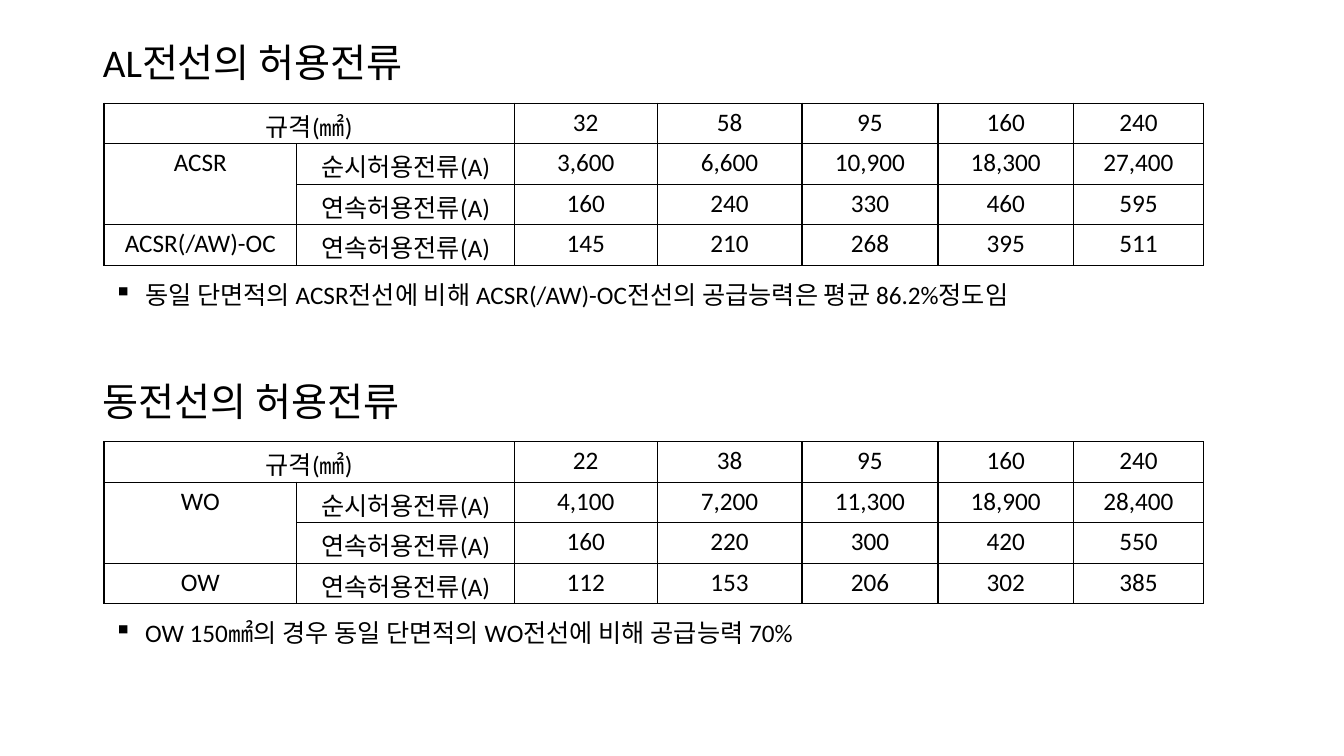
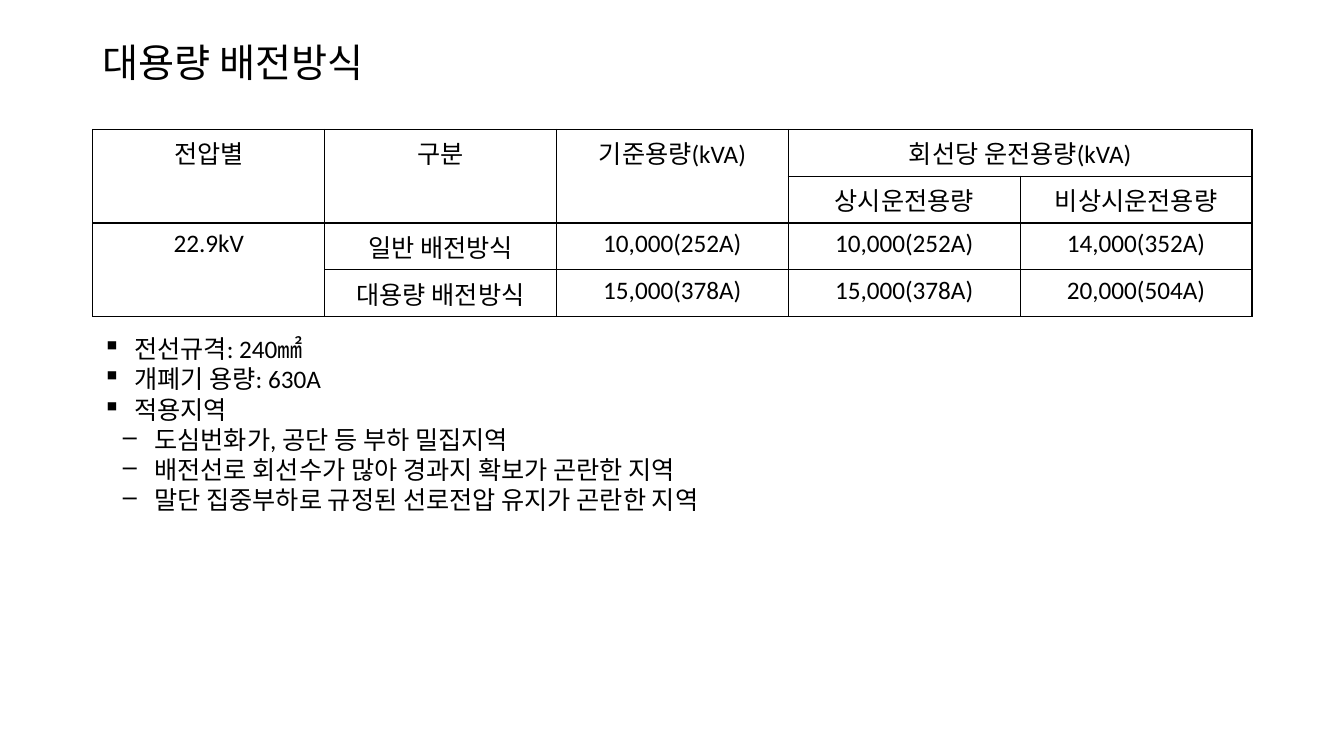
from lxml import etree
from pptx import Presentation
from pptx.dml.color import RGBColor
from pptx.enum.text import MSO_ANCHOR, MSO_AUTO_SIZE, PP_ALIGN
from pptx.oxml.ns import qn
from pptx.util import Cm, Pt

# Shared style
FONT = "Calibri"
BLACK = "000000"
TITLE_SIZE = 28
BODY_SIZE = 18
BORDER_WIDTH = Pt(1)

# Shared layout, in centimetres
LEFT = 2.34
TITLE_TOP = 0.91
TITLE_HEIGHT = 1.45
CONTENT_WIDTH = 29.21
CURRENT_LEFT = 2.62
CURRENT_COLUMNS = [4.86, 5.48, 3.6, 3.65, 3.43, 3.41, 3.28]
BLOCK_STEP = 8.53

# Content of the allowable current blocks
INSTANT = "순시허용전류(A)"
CONTINUOUS = "연속허용전류(A)"
SIZE_LABEL = "규격(㎟)"
CURRENT_MERGES = [(0, 0, 0, 1), (1, 0, 2, 0)]
ALUMINIUM_ROWS = [
    [SIZE_LABEL, None, "32", "58", "95", "160", "240"],
    ["ACSR", INSTANT, "3,600", "6,600", "10,900", "18,300", "27,400"],
    [None, CONTINUOUS, "160", "240", "330", "460", "595"],
    ["ACSR(/AW)-OC", CONTINUOUS, "145", "210", "268", "395", "511"],
]
COPPER_ROWS = [
    [SIZE_LABEL, None, "22", "38", "95", "160", "240"],
    ["WO", INSTANT, "4,100", "7,200", "11,300", "18,900", "28,400"],
    [None, CONTINUOUS, "160", "220", "300", "420", "550"],
    ["OW", CONTINUOUS, "112", "153", "206", "302", "385"],
]
ALUMINIUM_NOTE = "동일 단면적의 ACSR전선에 비해 ACSR(/AW)-OC전선의 공급능력은 평균 86.2%정도임"
COPPER_NOTE = "OW 150㎟의 경우 동일 단면적의 WO전선에 비해 공급능력 70%"

# Content of the large-capacity slide
CAPACITY_ROWS = [
    ["전압별", "구분", "기준용량(kVA)", "회선당 운전용량(kVA)", None],
    [None, None, None, "상시운전용량", "비상시운전용량"],
    ["22.9kV", "일반 배전방식", "10,000(252A)", "10,000(252A)", "14,000(352A)"],
    [None, "대용량 배전방식", "15,000(378A)", "15,000(378A)", "20,000(504A)"],
]
CAPACITY_MERGES = [(0, 0, 1, 0), (0, 1, 1, 1), (0, 2, 1, 2), (0, 3, 0, 4), (2, 0, 3, 0)]
CAPACITY_NOTES = [
    (0, "전선규격: 240㎟"),
    (0, "개폐기 용량: 630A"),
    (0, "적용지역"),
    (1, "도심번화가, 공단 등 부하 밀집지역"),
    (1, "배전선로 회선수가 많아 경과지 확보가 곤란한 지역"),
    (1, "말단 집중부하로 규정된 선로전압 유지가 곤란한 지역"),
]

# Bullet character and left margin for each level
BULLETS = [("▪", 0.79), ("–", 1.3)]
BULLET_HANG = 0.79


def color(value):
    return RGBColor.from_string(value)


def format_runs(para, size, east_asian=True):
    for span in para.runs:
        span.font.size = Pt(size)
        span.font.bold = False
        span.font.color.rgb = color(BLACK)
        span.font.name = FONT
        if east_asian:
            etree.SubElement(span.font._element, qn("a:ea"), typeface=FONT)


def format_heading(box, text):
    frame = box.text_frame
    frame.text = text
    frame.word_wrap = True
    frame.auto_size = MSO_AUTO_SIZE.NONE
    frame.vertical_anchor = MSO_ANCHOR.MIDDLE
    para = frame.paragraphs[0]
    para.alignment = PP_ALIGN.LEFT
    para.line_spacing = 0.9
    format_runs(para, TITLE_SIZE)


def add_titled_page(deck, title):
    page = deck.slides.add_slide(deck.slide_layouts[5])
    box = page.shapes.title
    box.left, box.top = Cm(LEFT), Cm(TITLE_TOP)
    box.width, box.height = Cm(CONTENT_WIDTH), Cm(TITLE_HEIGHT)
    format_heading(box, title)
    return page


def add_heading(page, text, top):
    box = page.shapes.add_textbox(Cm(LEFT), Cm(top), Cm(CONTENT_WIDTH), Cm(TITLE_HEIGHT))
    format_heading(box, text)


def add_bullets(page, items, left, top, width, height):
    box = page.shapes.add_textbox(Cm(left), Cm(top), Cm(width), Cm(height))
    frame = box.text_frame
    frame.word_wrap = True
    for index, (level, text) in enumerate(items):
        para = frame.add_paragraph() if index else frame.paragraphs[0]
        para.text = text
        mark, margin = BULLETS[level]
        properties = para._p.get_or_add_pPr()
        properties.set("marL", str(Cm(margin)))
        properties.set("indent", str(-Cm(BULLET_HANG)))
        etree.SubElement(properties, qn("a:buChar"), char=mark)
        format_runs(para, BODY_SIZE)


def add_borders(cell):
    properties = cell._tc.get_or_add_tcPr()
    for side in ("lnL", "lnR", "lnT", "lnB"):
        line = etree.SubElement(properties, qn(f"a:{side}"), w=str(BORDER_WIDTH))
        fill = etree.SubElement(line, qn("a:solidFill"))
        etree.SubElement(fill, qn("a:srgbClr"), val=BLACK)


def add_grid(page, rows, merges, left, top, columns, row_height, margins):
    frame = page.shapes.add_table(
        len(rows), len(columns), Cm(left), Cm(top),
        Cm(sum(columns)), Cm(row_height * len(rows)))
    table = frame.table
    table.first_row = table.horz_banding = False
    for column, width in zip(table.columns, columns):
        column.width = Cm(width)
    for row, texts in zip(table.rows, rows):
        row.height = Cm(row_height)
        for cell, text in zip(row.cells, texts):
            add_borders(cell)
            cell.fill.background()
            cell.margin_top, cell.margin_bottom = (Cm(margin) for margin in margins)
            if text:
                cell.text_frame.text = text
                para = cell.text_frame.paragraphs[0]
                para.alignment = PP_ALIGN.CENTER
                format_runs(para, BODY_SIZE, east_asian=False)
    for first_row, first_column, last_row, last_column in merges:
        table.cell(first_row, first_column).merge(table.cell(last_row, last_column))


def add_current_block(page, rows, note, offset):
    add_grid(page, rows, CURRENT_MERGES, CURRENT_LEFT, 2.6 + offset,
             CURRENT_COLUMNS, 1.02, (0.1, 0))
    add_bullets(page, [(0, note)], CURRENT_LEFT, 6.91 + offset, 25, 1.02)


def build_current_page(deck):
    page = add_titled_page(deck, "AL전선의 허용전류")
    add_current_block(page, ALUMINIUM_ROWS, ALUMINIUM_NOTE, 0)
    add_heading(page, "동전선의 허용전류", TITLE_TOP + BLOCK_STEP)
    add_current_block(page, COPPER_ROWS, COPPER_NOTE, BLOCK_STEP)


def build_capacity_page(deck):
    page = add_titled_page(deck, "대용량 배전방식")
    add_grid(page, CAPACITY_ROWS, CAPACITY_MERGES, LEFT, 3.26,
             [CONTENT_WIDTH / 5] * 5, 1.17, (0.13, 0.13))
    add_bullets(page, CAPACITY_NOTES, LEFT, 8.28, 17, 4.88)


def main():
    deck = Presentation()
    deck.slide_width, deck.slide_height = Cm(33.87), Cm(19.05)
    build_current_page(deck)
    build_capacity_page(deck)
    deck.save("out.pptx")


if __name__ == "__main__":
    main()
